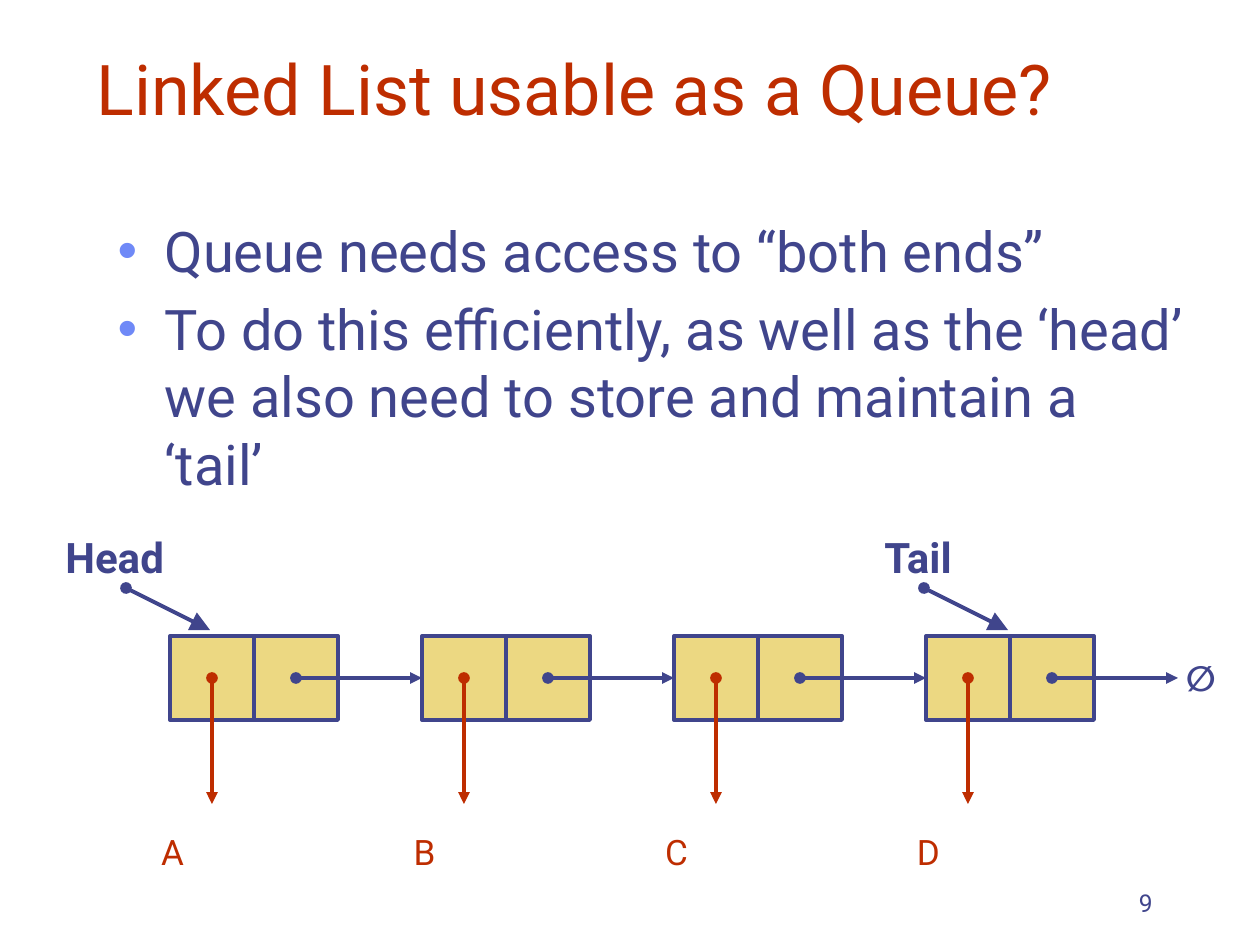
from lxml import etree
from pptx import Presentation
from pptx.dml.color import RGBColor
from pptx.enum import shapes, text
from pptx.oxml.ns import qn
from pptx.util import Emu, Pt

PX = 914400 / 126
FONT = "Roboto"
HUE = {"ink": "40458C", "red": "BE2D00", "gold": "ECD882", "dot": "6F89F7"}
ALIGN, ANCHOR = text.PP_ALIGN, text.MSO_ANCHOR
CELL, PITCH, REACH = 84, 252, 126


def px(n):
    return Emu(round(n * PX))


def rgb(name):
    return RGBColor.from_string(HUE[name])


def place(shape, box):
    shape.left, shape.top, shape.width, shape.height = map(px, box)


def write(shape, *lines, size=20, hue="ink", bold=False, align=ALIGN.LEFT,
          anchor=ANCHOR.TOP, wrap=True, before=0):
    frame = shape.text_frame
    frame.auto_size = text.MSO_AUTO_SIZE.NONE
    frame.word_wrap = wrap
    frame.vertical_anchor = anchor
    frame.text = "\n".join(lines)
    for para in frame.paragraphs:
        para.alignment = align
        para.space_before = Pt(before)
        font = para.runs[0].font
        font.name, font.size, font.bold = FONT, Pt(size), bold
        font.color.rgb = rgb(hue)
    return frame


def label(slide, box, words, **style):
    return write(slide.shapes.add_textbox(*map(px, box)), words, **style)


def arrow(slide, start, end, hue="ink", tip="med"):
    line = slide.shapes.add_connector(
        shapes.MSO_CONNECTOR.STRAIGHT, *map(px, (*start, *end)))
    line.line.color.rgb = rgb(hue)
    line.line.width = Pt(2.25)
    ln = line.line._get_or_add_ln()
    for tag, kind, size in (("headEnd", "oval", "med"), ("tailEnd", "triangle", tip)):
        etree.SubElement(ln, qn(f"a:{tag}"), type=kind, w=size, len=size)
    etree.SubElement(line._element.spPr, qn("a:effectLst"))
    return line


def bullet(para, indent):
    ppr = para._p.get_or_add_pPr()
    ppr.set("marL", str(px(indent)))
    ppr.set("indent", str(-px(indent)))
    tint = etree.SubElement(ppr, qn("a:buClr"))
    etree.SubElement(tint, qn("a:srgbClr"), val=HUE["dot"])
    etree.SubElement(ppr, qn("a:buChar"), char="•")


def heading(slide, box, words):
    place(slide.shapes.title, box)
    write(slide.shapes.title, words, size=40, hue="red", anchor=ANCHOR.BOTTOM)


def points(slide, box, *lines):
    body = slide.placeholders[1]
    place(body, box)
    for para in write(body, *lines, size=32, before=6.4).paragraphs:
        bullet(para, 47)


def node(slide, x, y):
    """Draw the value cell and the link cell; return the value cell."""
    pair = []
    for k in range(2):
        cell = slide.shapes.add_shape(
            shapes.MSO_SHAPE.RECTANGLE, *map(px, (x + k * CELL, y, CELL, CELL)))
        cell.shadow.inherit = False
        cell.fill.solid()
        cell.fill.fore_color.rgb = rgb("gold")
        cell.line.color.rgb = rgb("ink")
        cell.line.width = Pt(2.25)
        pair.append(cell)
    return pair[0]


def chain(slide, x, y, names):
    spots = [x + i * PITCH for i in range(len(names))]
    cells = [node(slide, left, y) for left in spots]
    mid = y + CELL // 2
    for i, (left, name) in enumerate(zip(spots, names)):
        # Value arrow and its letter
        val = left + CELL // 2
        arrow(slide, (val, mid), (val, mid + REACH), hue="red")
        label(slide, (left - 21, y + 188, 47, 54), name, hue="red",
              align=ALIGN.CENTER, wrap=False)
        # Link arrow to the next node
        link = val + CELL
        line = arrow(slide, (link, mid), (link + REACH, mid))
        if i + 1 < len(cells):
            line.end_connect(cells[i + 1], 1)
    # Empty end of the list
    label(slide, (spots[-1] + PITCH - 4, y + 14, 54, 54), "∅", bold=True,
          align=ALIGN.CENTER, wrap=False)


def handle(slide, box, words, start):
    """Name an end of the list and point from below the name to its node."""
    x, y, _, high = box
    label(slide, box, words, size=24, bold=True, wrap=False)
    top = y + high
    arrow(slide, (x + start, top), (x + start + 84, top + 42), tip="lg")


def main():
    deck = Presentation()
    deck.slide_width, deck.slide_height = px(1260), px(945)
    slide = deck.slides.add_slide(deck.slide_layouts[1])

    # Title and bullets
    heading(slide, (84, 42, 1061, 94), "Linked List usable as a Queue?")
    points(slide, (105, 210, 1092, 294),
           "Queue needs access to “both ends”",
           "To do this efficiently, as well as the ‘head’ we also need "
           "to store and maintain a ‘tail’")

    # Linked list
    chain(slide, 170, 636, "ABCD")
    handle(slide, (53, 525, 134, 63), "Head", 73)
    handle(slide, (872, 525, 102, 63), "Tail", 52)

    # Page number
    label(slide, (903, 861, 262, 63), "9", size=14, align=ALIGN.RIGHT,
          anchor=ANCHOR.BOTTOM)
    deck.save("out.pptx")


if __name__ == "__main__":
    main()
